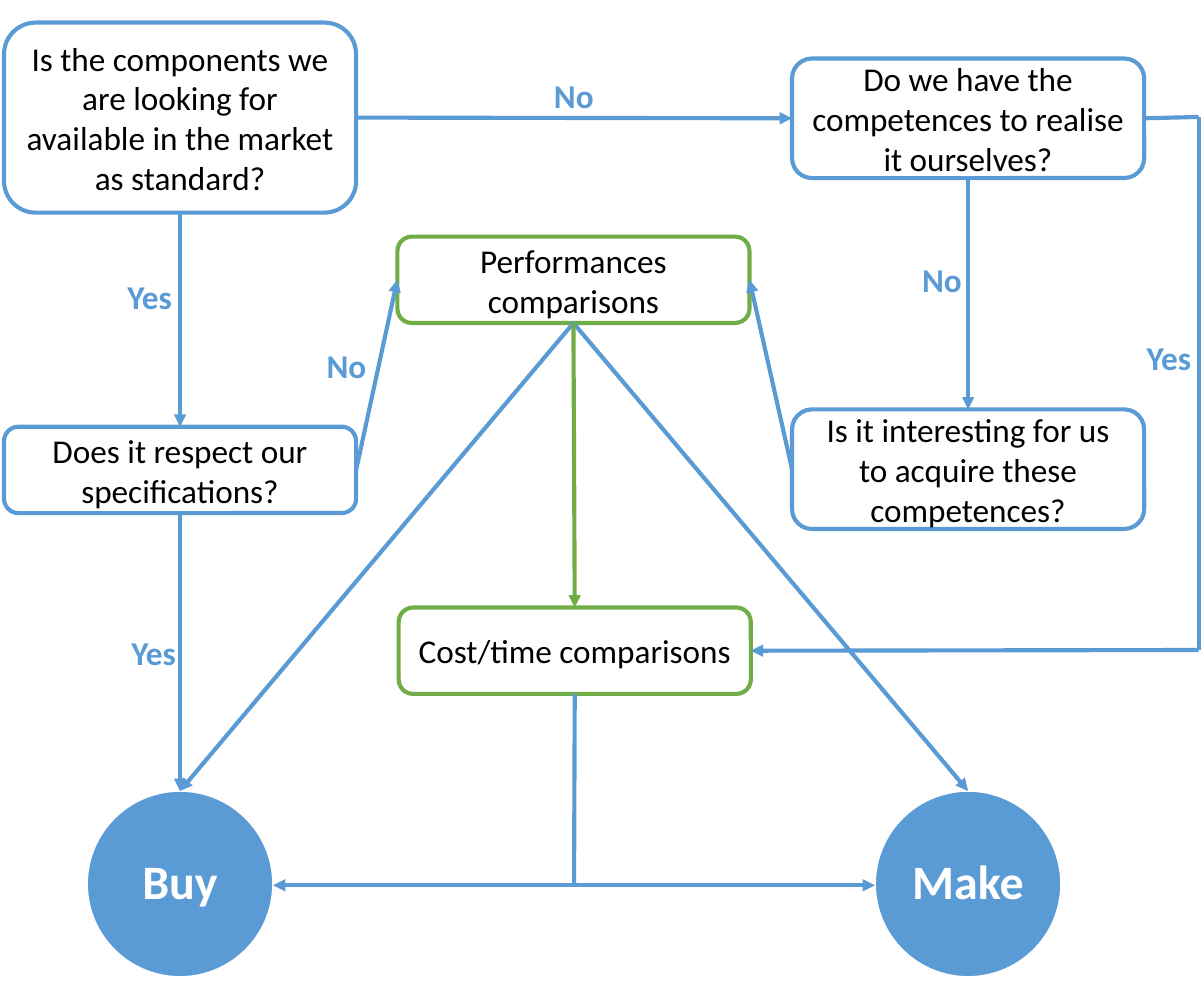
from dataclasses import dataclass
from enum import IntEnum

from lxml import etree
from pptx import Presentation
from pptx import util as u
from pptx.dml.color import RGBColor
from pptx.enum import shapes, text
from pptx.oxml.ns import qn


@dataclass(frozen=True)
class Theme:
    """Colours, type and line sizes of the decision chart."""
    blue: RGBColor = RGBColor(0x5B, 0x9B, 0xD5)
    green: RGBColor = RGBColor(0x70, 0xAD, 0x47)
    white: RGBColor = RGBColor(0xFF, 0xFF, 0xFF)
    black: RGBColor = RGBColor(0, 0, 0)
    font: str = "Calibri"
    body: u.Pt = u.Pt(18)
    outcome: u.Pt = u.Pt(26)
    stroke: u.Pt = u.Pt(2.25)
    rim: u.Pt = u.Pt(1)


class Side(IntEnum):
    """Connection sites of a box."""
    TOP = 0
    LEFT = 1
    BOTTOM = 2
    RIGHT = 3


THEME = Theme()
BOX_WIDTH = 2.65
CIRCLE_SIZE = 1.4


def write(frame, wording, size, color, bold=False):
    """Put one styled paragraph in a text frame and return it."""
    paragraph = frame.paragraphs[0]
    paragraph.text = wording
    font = paragraph.font
    font.name, font.size, font.bold = THEME.font, size, bold
    font.color.rgb = color
    return paragraph


def add_node(slide, kind, place, fill, outline, stroke):
    """Draw a filled, outlined shape with centred wrapping text space."""
    node = slide.shapes.add_shape(kind, *map(u.Inches, place))
    node.shadow.inherit = False
    node.fill.solid()
    node.fill.fore_color.rgb = fill
    node.line.color.rgb = outline
    node.line.width = stroke
    node.text_frame.word_wrap = True
    node.text_frame.vertical_anchor = text.MSO_ANCHOR.MIDDLE
    return node


def add_box(slide, wording, left, top, height, outline=THEME.blue):
    """Draw a rounded question or comparison box."""
    box = add_node(slide, shapes.MSO_SHAPE.ROUNDED_RECTANGLE,
                   (left, top, BOX_WIDTH, height),
                   THEME.white, outline, THEME.stroke)
    paragraph = write(box.text_frame, wording, THEME.body, THEME.black)
    paragraph.alignment = text.PP_ALIGN.CENTER
    return box


def add_outcome(slide, wording, left, top):
    """Draw a final decision circle."""
    circle = add_node(slide, shapes.MSO_SHAPE.OVAL,
                      (left, top, CIRCLE_SIZE, CIRCLE_SIZE),
                      THEME.blue, THEME.white, THEME.rim)
    frame = circle.text_frame
    frame.margin_left = frame.margin_right = u.Inches(0.03)
    frame.margin_top = frame.margin_bottom = u.Inches(0.03)
    paragraph = write(frame, wording, THEME.outcome, THEME.white, True)
    paragraph.alignment = text.PP_ALIGN.CENTER
    paragraph.line_spacing = 0.9
    return circle


def add_answer(slide, wording, left, top):
    """Write a Yes or No beside its arrow."""
    width = {"Yes": 0.54, "No": 0.5}[wording]
    answer = slide.shapes.add_textbox(*map(u.Inches, (left, top, width, 0.4)))
    answer.text_frame.word_wrap = False
    answer.text_frame.auto_size = text.MSO_AUTO_SIZE.SHAPE_TO_FIT_TEXT
    write(answer.text_frame, wording, THEME.body, THEME.blue, True)


def add_link(slide, start, end, color=THEME.blue, arrows=("tailEnd",)):
    """Join two ends, each a (shape, side) pair or an (x, y) point in inches."""
    link = slide.shapes.add_connector(shapes.MSO_CONNECTOR.STRAIGHT, 0, 0, 0, 0)
    if isinstance(start[1], Side):
        link.begin_connect(*start)
    else:
        link.begin_x, link.begin_y = map(u.Inches, start)
    if isinstance(end[1], Side):
        link.end_connect(*end)
    else:
        link.end_x, link.end_y = map(u.Inches, end)
    link.line.color.rgb = color
    link.line.width = THEME.stroke
    outline = link.line._get_or_add_ln()
    for arrow in arrows:
        etree.SubElement(outline, qn(f"a:{arrow}"), type="triangle")
    etree.SubElement(link._element.spPr, qn("a:effectLst"))


def main():
    """Build the make-or-buy decision chart."""
    deck = Presentation()
    deck.slide_width, deck.slide_height = u.Inches(9.06), u.Inches(7.5)
    slide = deck.slides.add_slide(deck.slide_layouts[6])

    left, right = 0.03, 5.96
    available = add_box(slide, "Is the components we are looking for available "
                        "in the market as standard?", left, 0.17, 1.43)
    suitable = add_box(slide, "Does it respect our specifications?",
                       left, 3.21, 0.65)
    capable = add_box(slide, "Do we have the competences to realise it "
                      "ourselves?", right, 0.44, 0.9)
    worthwhile = add_box(slide, "Is it interesting for us to acquire these "
                         "competences?", right, 3.08, 0.9)
    performance = add_box(slide, "Performances comparisons",
                          2.99, 1.78, 0.65, THEME.green)
    cost = add_box(slide, "Cost/time comparisons", 3, 4.57, 0.65, THEME.green)

    inset = (BOX_WIDTH - CIRCLE_SIZE) / 2
    outcome_top = 5.95
    buy = add_outcome(slide, "Buy", left + inset, outcome_top)
    make = add_outcome(slide, "Make", right + inset, outcome_top)

    for (source, source_side), (target, target_side) in (
        ((available, Side.BOTTOM), (suitable, Side.TOP)),
        ((available, Side.RIGHT), (capable, Side.LEFT)),
        ((capable, Side.BOTTOM), (worthwhile, Side.TOP)),
        ((suitable, Side.RIGHT), (performance, Side.LEFT)),
        ((worthwhile, Side.LEFT), (performance, Side.RIGHT)),
        ((suitable, Side.BOTTOM), (buy, Side.TOP)),
        ((performance, Side.BOTTOM), (buy, Side.TOP)),
        ((performance, Side.BOTTOM), (make, Side.TOP)),
    ):
        add_link(slide, (source, source_side), (target, target_side))
    add_link(slide, (performance, Side.BOTTOM), (cost, Side.TOP), THEME.green)

    detour_top, detour_bottom = (9.02, 0.88), (9.02, 4.89)
    add_link(slide, (capable, Side.RIGHT), detour_top, arrows=())
    add_link(slide, detour_top, detour_bottom, arrows=())
    add_link(slide, detour_bottom, (cost, Side.RIGHT))

    choice_y = 6.66
    add_link(slide, (cost, Side.BOTTOM), (4.32, choice_y), arrows=())
    add_link(slide, (left + inset + CIRCLE_SIZE, choice_y),
             (right + inset, choice_y), arrows=("headEnd", "tailEnd"))

    for wording, answer_left, answer_top in (
        ("No", 4.07, 0.52), ("Yes", 0.86, 2.03), ("No", 6.84, 1.9),
        ("Yes", 8.53, 2.49), ("No", 2.36, 2.55), ("Yes", 0.89, 4.71),
    ):
        add_answer(slide, wording, answer_left, answer_top)

    deck.save("out.pptx")


main()
